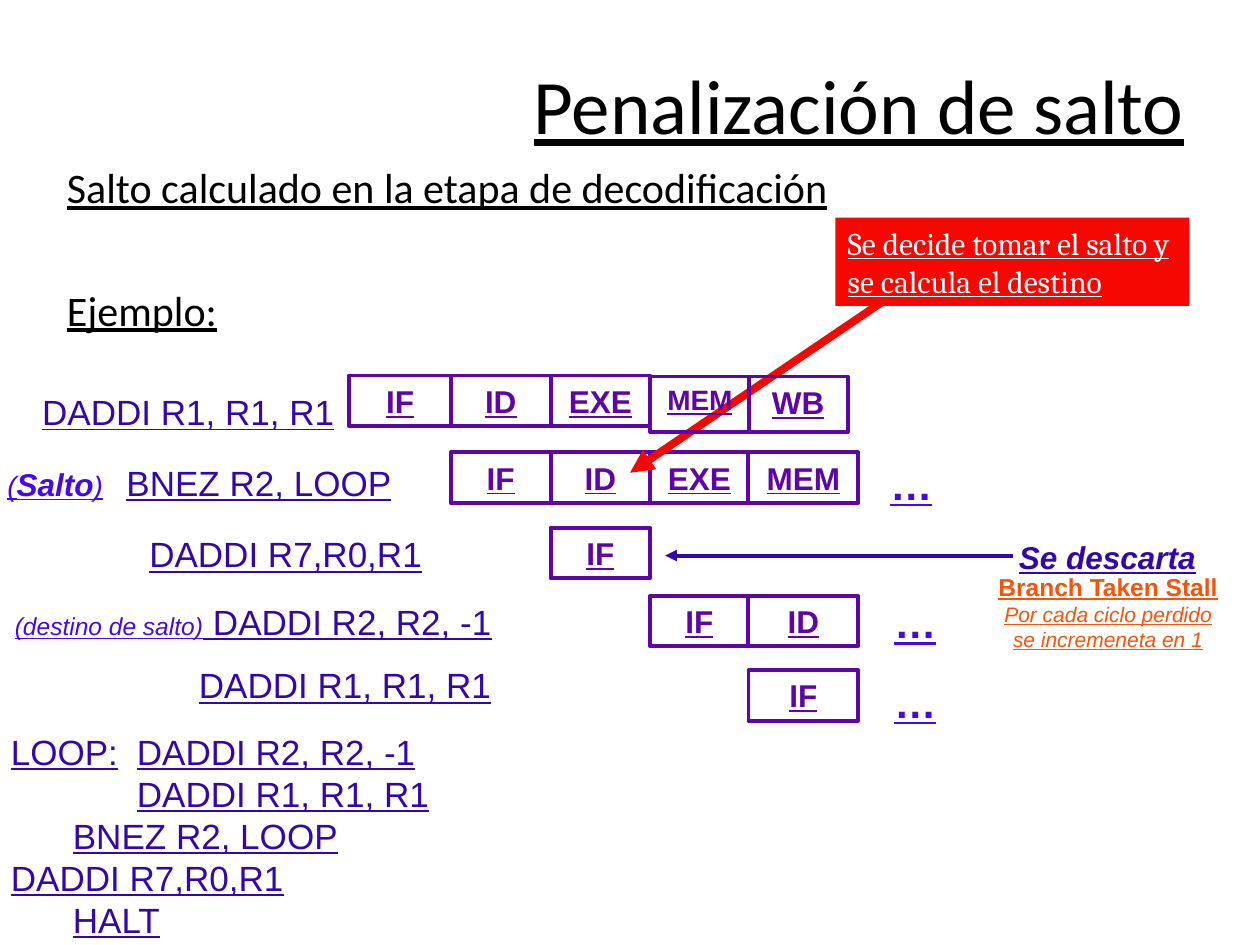
from pptx import Presentation
from pptx.dml.color import RGBColor
from pptx.enum.shapes import MSO_CONNECTOR, MSO_SHAPE
from pptx.enum.text import MSO_ANCHOR, PP_ALIGN
from pptx.oxml.ns import qn
from pptx.util import Cm, Pt
from lxml.etree import SubElement

COLORS = {
    "black": "000000", "white": "FFFFFF", "indigo": "3207AD", "blue": "4509EF",
    "purple": "5E04A8", "red": "F70701", "orange": "F75309",
}
TITLE = {"name": "Calibri", "size": Pt(44), "color": "black"}
BODY = TITLE | {"size": Pt(24)}
CODE = {"name": "Arial", "size": Pt(20), "color": "indigo"}
STAGE = {"name": "Arial", "size": Pt(18), "color": "purple", "bold": True}
SMALL_STAGE = STAGE | {"size": Pt(16)}
DOTS = STAGE | {"size": Pt(24), "color": "blue"}
SIDE = {"name": "Arial", "size": Pt(16), "color": "blue", "italic": True}
JUMP = SIDE | {"size": Pt(18), "bold": True}
TARGET = SIDE | {"size": Pt(14)}
DISCARD = JUMP | {"color": "indigo"}
STALL = {"name": "Arial", "size": Pt(14), "color": "orange", "bold": True}
PENALTY = {"name": "Arial", "size": Pt(12), "color": "orange", "italic": True}
DECISION = {"name": "Cambria", "size": Pt(18), "color": "white"}

deck = Presentation()
deck.slide_width, deck.slide_height = Cm(25.4), Cm(19.05)
page = deck.slides.add_slide(deck.slide_layouts[6])


def write(shape, paragraphs, align=PP_ALIGN.LEFT):
    frame = shape.text_frame
    frame.word_wrap = True
    frame.vertical_anchor = MSO_ANCHOR.TOP
    for index, spans in enumerate(paragraphs):
        para = frame.paragraphs[0] if index == 0 else frame.add_paragraph()
        para.alignment = align
        for text, style in spans:
            span = para.add_run()
            span.text = text
            for key, value in (style | {"underline": True}).items():
                if key == "color":
                    span.font.color.rgb = RGBColor.from_string(COLORS[value])
                else:
                    setattr(span.font, key, value)
    return frame


def add_stage(name, left, top, width, height=1.02, style=STAGE):
    box = page.shapes.add_shape(MSO_SHAPE.RECTANGLE, Cm(left), Cm(top), Cm(width), Cm(height))
    box.shadow.inherit = False
    box.fill.background()
    box.line.color.rgb = RGBColor.from_string(COLORS["purple"])
    box.line.width = Pt(2.25)
    write(box, [[(name, style)]], PP_ALIGN.CENTER)


title = page.shapes.add_textbox(Cm(1.27), Cm(0.51), Cm(22.86), Cm(3.18))
frame = write(title, [[("Penalización de salto", TITLE)]], PP_ALIGN.RIGHT)
frame.vertical_anchor = MSO_ANCHOR.MIDDLE

body = page.shapes.add_textbox(Cm(1.1), Cm(3.14), Cm(22.86), Cm(3.78))
frame = write(body, [
    [("Salto calculado en la etapa de decodificación", BODY)],
    [("Ejemplo:", BODY)],
])
for para, gap in zip(frame.paragraphs, (6, 41)):
    para.space_before = Pt(gap)

instructions = [
    (0.6, 7.75, 6.4, 0, [("DADDI R1, R1, R1", CODE)]),
    (-0.1, 9.17, 9.1, 2.4, [("(", SIDE), ("Salto", JUMP), (")", SIDE), ("\tBNEZ R2, LOOP", CODE)]),
    (2.76, 10.62, 6.4, 0, [("DADDI R7,R0,R1", CODE)]),
    (0.05, 11.98, 11, 0, [("(destino de salto)", TARGET), (" DADDI R2, R2, -1", CODE)]),
    (3.76, 13.26, 6.8, 0, [("DADDI R1, R1, R1", CODE)]),
]
for left, top, width, hanging, spans in instructions:
    box = page.shapes.add_textbox(Cm(left), Cm(top), Cm(width), Cm(1.12))
    properties = write(box, [spans]).paragraphs[0]._p.get_or_add_pPr()
    properties.set("marL", str(Cm(hanging)))
    properties.set("indent", str(-Cm(hanging)))

edges = [7.04, 9.09, 11.1, 13.11, 15.09, 17.3]
pipeline = [
    (7.57, 0, ["IF", "ID", "EXE"]),
    (9.12, 1, ["IF", "ID", "EXE", "MEM"]),
    (10.64, 2, ["IF"]),
    (12.01, 3, ["IF", "ID"]),
    (13.51, 4, ["IF"]),
]
for top, first, stages in pipeline:
    for column, stage in enumerate(stages, first):
        add_stage(stage, edges[column], top, edges[column + 1] - edges[column])

arrows = [
    (13.41, 11.2, 20.42, 11.2, "indigo", 2.25),
    (12.7, 9.53, 18.9, 5.33, "red", 4.5),
]
for left, top, right, bottom, color, weight in arrows:
    arrow = page.shapes.add_connector(
        MSO_CONNECTOR.STRAIGHT, Cm(left), Cm(top), Cm(right), Cm(bottom))
    arrow.line.color.rgb = RGBColor.from_string(COLORS[color])
    arrow.line.width = Pt(weight)
    SubElement(arrow.line._get_or_add_ln(), qn("a:headEnd"), type="triangle")
    SubElement(arrow._element.spPr, qn("a:effectLst"))

add_stage("MEM", edges[3], 7.59, 2, 1.12, SMALL_STAGE)
add_stage("WB", edges[4], 7.59, 2, 1.12)

decision = page.shapes.add_shape(MSO_SHAPE.RECTANGLE, Cm(16.84), Cm(4.39), Cm(7.14), Cm(1.78))
decision.shadow.inherit = False
decision.fill.solid()
decision.fill.fore_color.rgb = RGBColor.from_string(COLORS["red"])
decision.line.fill.background()
write(decision, [
    [("Se decide tomar el salto y", DECISION)],
    [("se calcula el destino", DECISION)],
])

for left, top in ((17.7, 9.12), (17.78, 11.91), (17.78, 13.51)):
    dots = page.shapes.add_textbox(Cm(left), Cm(top), Cm(1.5), Cm(1.27))
    write(dots, [[("…", DOTS)]])

discard = page.shapes.add_textbox(Cm(20.29), Cm(10.72), Cm(4.9), Cm(1.02))
write(discard, [[("Se descarta", DISCARD)]])

stall = page.shapes.add_textbox(Cm(19.84), Cm(11.4), Cm(5), Cm(1.88))
write(stall, [
    [("Branch Taken Stall", STALL)],
    [("Por cada ciclo perdido se incremeneta en 1", PENALTY)],
], PP_ALIGN.CENTER)

program = [
    (2.54, -2.54, "LOOP:\tDADDI R2, R2, -1"),
    (2.54, 0, "DADDI R1, R1, R1"),
    (1.25, 0, "BNEZ R2, LOOP"),
    (0, 0, "DADDI R7,R0,R1"),
    (1.25, 0, "HALT"),
]
listing = page.shapes.add_textbox(Cm(-0.03), Cm(14.6), Cm(9.6), Cm(4.45))
frame = write(listing, [[(line, CODE)] for margin, indent, line in program])
for para, (margin, indent, line) in zip(frame.paragraphs, program):
    properties = para._p.get_or_add_pPr()
    properties.set("marL", str(Cm(margin)))
    properties.set("indent", str(Cm(indent)))

deck.save("out.pptx")
